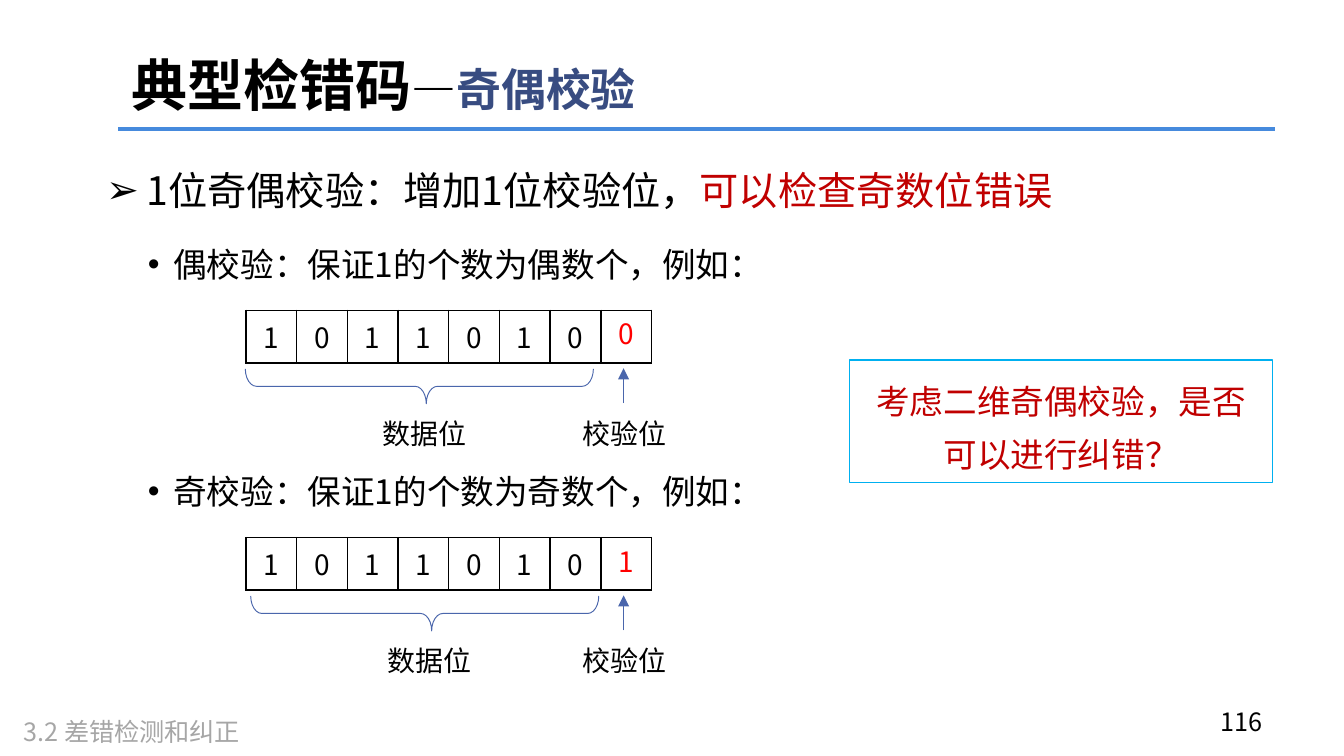
from lxml.etree import SubElement
from pptx import Presentation
from pptx.dml.color import RGBColor
from pptx.enum.shapes import MSO_CONNECTOR, MSO_SHAPE
from pptx.enum.text import MSO_ANCHOR, MSO_AUTO_SIZE, PP_ALIGN
from pptx.oxml.ns import qn
from pptx.util import Inches, Pt

BLACK = RGBColor(0, 0, 0)
WHITE = RGBColor(255, 255, 255)
GREY = RGBColor(0xA6, 0xA6, 0xA6)
RED = RGBColor(255, 0, 0)
DARK_RED = RGBColor(0xC0, 0, 0)
NAVY = RGBColor(0x38, 0x4C, 0x81)
BLUE = RGBColor(0x4A, 0x66, 0xAC)
RULE = RGBColor(0x46, 0x8A, 0xDD)
CYAN = RGBColor(0, 0xB0, 0xF0)
LEFT, MID, RIGHT = PP_ALIGN.LEFT, PP_ALIGN.CENTER, PP_ALIGN.RIGHT


def write(frame, parts, size=15, color=BLACK, bold=False, align=LEFT,
          lead=None, bullet=None, hang=(0, 0), level=0,
          anchor=MSO_ANCHOR.TOP, inset=(0.1, 0.05)):
    """Fill a frame with one paragraph; parts is a text or (text, format) pairs."""
    frame.word_wrap = True
    frame.auto_size = MSO_AUTO_SIZE.NONE
    frame.vertical_anchor = anchor
    frame.margin_left = frame.margin_right = Inches(inset[0])
    frame.margin_top = frame.margin_bottom = Inches(inset[1])
    para = frame.paragraphs[0]
    para.alignment, para.level = align, level
    para.space_before = Pt(0)
    if lead:
        para.line_spacing = lead
    if bullet:
        props = para._p.get_or_add_pPr()
        props.set("marL", str(Inches(hang[0])))
        props.set("indent", str(Inches(hang[1])))
        SubElement(props, qn("a:buFont")).set("typeface", "Arial")
        SubElement(props, qn("a:buChar")).set("char", bullet)
    for text, style in [(parts, {})] if isinstance(parts, str) else parts:
        run = para.add_run()
        run.text = text
        font = run.font
        font.size = Pt(style.get("size", size))
        font.bold = bold
        font.color.rgb = style.get("color", color)
        font.name = Deck.font
        SubElement(run._r.get_or_add_rPr(), qn("a:ea")).set("typeface", Deck.font)


class Deck:
    font = "Noto Sans CJK SC"

    def __init__(self):
        self.prs = Presentation()
        self.prs.slide_width = Inches(10)
        self.prs.slide_height = Inches(10 * 9 / 16)
        self.slide = self.prs.slides.add_slide(self.prs.slide_layouts[1])
        self.shapes = self.slide.shapes

    def holder(self, index, box, parts, **style):
        item = self.slide.placeholders[index]
        item.left, item.top, item.width, item.height = map(Inches, box)
        write(item.text_frame, parts, **style)

    def text(self, box, parts, **style):
        item = self.shapes.add_textbox(*map(Inches, box))
        write(item.text_frame, parts, **style)

    def shape(self, kind, box, fill=None, line=None, width=0.75):
        item = self.shapes.add_shape(kind, *map(Inches, box))
        item.shadow.inherit = False
        if fill is None:
            item.fill.background()
        else:
            item.fill.solid()
            item.fill.fore_color.rgb = fill
        if line is None:
            item.line.fill.background()
        else:
            item.line.color.rgb = line
            item.line.width = Pt(width)
        return item

    def brace(self, box):
        item = self.shape(MSO_SHAPE.RIGHT_BRACE, box, line=BLUE, width=0.5)
        item.adjustments[0], item.adjustments[1] = 0.32, 0.52
        item.rotation = 270
        item._element.spPr.find(qn("a:xfrm")).set("flipH", "1")

    def line(self, start, end, color, width, arrow=False):
        item = self.shapes.add_connector(
            MSO_CONNECTOR.STRAIGHT, *map(Inches, start + end))
        item.line.color.rgb = color
        item.line.width = Pt(width)
        if arrow:
            SubElement(item.line._get_or_add_ln(), qn("a:tailEnd")).set("type", "triangle")
        SubElement(item._element.spPr, qn("a:effectLst"))

    def table(self, box, values):
        grid = self.shapes.add_table(1, len(values), *map(Inches, box)).table
        for cell, value in zip(grid.iter_cells(), values):
            props = cell._tc.get_or_add_tcPr()
            for side in ("lnL", "lnR", "lnT", "lnB"):
                edge = SubElement(props, qn(f"a:{side}"))
                edge.set("w", str(Pt(1)))
                paint = SubElement(edge, qn("a:solidFill"))
                SubElement(paint, qn("a:srgbClr")).set("val", str(BLACK))
            cell.fill.solid()
            cell.fill.fore_color.rgb = WHITE
            cell.vertical_anchor = MSO_ANCHOR.MIDDLE
            cell.margin_left = cell.margin_right = Inches(0.07)
            cell.margin_top = cell.margin_bottom = Inches(0.04)
            if value:
                write(cell.text_frame, value, align=MID)
            else:
                last = SubElement(cell.text_frame.paragraphs[0]._p, qn("a:endParaRPr"))
                last.set("sz", "1500")

    def parity(self, top, rule, bits, check, shift=0):
        """Draw one example: rule, bit row, brace, arrow and labels."""
        self.text((0.66, top, 8.71, 0.5), rule, size=18, lead=Pt(28.5),
                  bullet="•", hang=(0.56, -0.19), level=1, inset=(0.07, 0.04))
        self.table((1.83, top + 0.63, 3.02, 0.39), [*bits, ""])
        digit = self.shape(MSO_SHAPE.RECTANGLE, (4.5, top + 0.71, 0.28, 0.27), WHITE)
        write(digit.text_frame, check, color=RED, align=MID, lead=Pt(12),
              anchor=MSO_ANCHOR.MIDDLE)
        self.brace((2.99 + shift, top - 0.1, 0.26, 2.59))
        self.line((4.64, top + 1.32), (4.64, top + 1.06), BLUE, 0.5, arrow=True)
        for left, label in ((2.56 + shift, "数据位"), (4.05, "校验位")):
            self.text((left, top + 1.37, 1.19, 0.35), label, align=MID)


def main():
    deck = Deck()
    deck.line((0.88, 0.96), (9.49, 0.96), RULE, 2)
    deck.holder(0, (0.88, 0.3, 6.74, 0.72), [
        ("典型检错码", {"size": 30}),
        ("—", {}),
        ("奇偶校验", {"color": NAVY}),
    ], size=24, bold=True, lead=0.9, anchor=MSO_ANCHOR.MIDDLE)
    deck.holder(1, (0.69, 1.14, 8.71, 0.49), [
        ("1位奇偶校验：增加1位校验位，", {}),
        ("可以检查奇数位错误", {"color": DARK_RED}),
    ], size=21, lead=Pt(28.5), bullet="➢", hang=(0.3, -0.3))
    deck.text((7.24, 5.21, 2.25, 0.3), "116", size=13.5, align=RIGHT)
    deck.text((0.08, 5.28, 2.47, 0.33), "3.2 差错检测和纠正", size=13.5, color=GREY)

    bits = "1011010"
    deck.parity(1.68, "偶校验：保证1的个数为偶数个，例如：", bits, "0")
    deck.parity(3.37, "奇校验：保证1的个数为奇数个，例如：", bits, "1", shift=0.04)

    note = deck.shape(MSO_SHAPE.RECTANGLE, (6.32, 2.68, 3.15, 0.91), line=CYAN)
    write(note.text_frame, "考虑二维奇偶校验，是否可以进行纠错？", size=18,
          color=DARK_RED, align=MID, lead=Pt(28.5), anchor=MSO_ANCHOR.MIDDLE)
    deck.prs.save("out.pptx")


if __name__ == "__main__":
    main()
